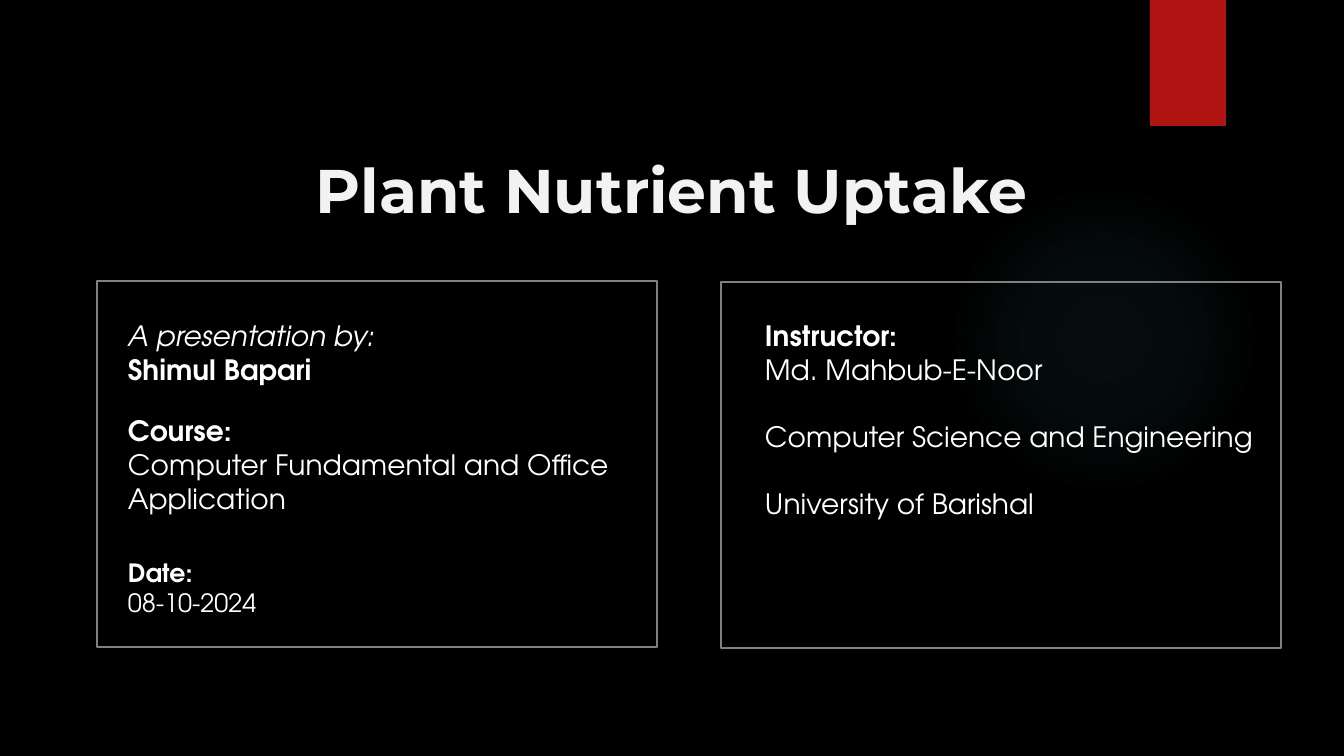
from lxml import etree
from pptx import Presentation, util as u
from pptx.dml.color import RGBColor
from pptx.enum import shapes, text
from pptx.oxml import ns

PX = 12192000 / 1344  # EMU in one px
BODY = "TeX Gyre Adventor"


def px(*sizes):
    return [u.Emu(round(size * PX)) for size in sizes]


def paint(color, code):
    color.rgb = RGBColor.from_string(code)


deck = Presentation()
deck.slide_width, deck.slide_height = px(1344, 756)
slide = deck.slides.add_slide(deck.slide_layouts[6])
slide.background.fill.solid()
paint(slide.background.fill.fore_color, "000000")

# Soft radial glow
glow = slide.shapes.add_shape(shapes.MSO_SHAPE.OVAL, *px(949, 184, 310, 310))
glow.shadow.inherit = False
glow.line.fill.background()
glow.fill.gradient()
grad = glow.fill._xPr.find(ns.qn("a:gradFill"))
for part in list(grad):
    grad.remove(part)
stops = etree.SubElement(grad, ns.qn("a:gsLst"))
for spot, alpha in [(0, 7), (36, 6), (69, 0)]:
    stop = etree.SubElement(stops, ns.qn("a:gs"), pos=str(spot * 1000))
    tint = etree.SubElement(stop, ns.qn("a:srgbClr"), val="50B9C1")
    etree.SubElement(tint, ns.qn("a:alpha"), val=str(alpha * 1000))
ring = etree.SubElement(grad, ns.qn("a:path"), path="circle")
etree.SubElement(ring, ns.qn("a:fillToRect"),
                 {side: "50000" for side in "ltrb"})

# Red tab
tab = slide.shapes.add_shape(shapes.MSO_SHAPE.RECTANGLE, *px(1150, 0, 76, 126))
tab.shadow.inherit = False
tab.fill.solid()
paint(tab.fill.fore_color, "B01513")
tab.line.fill.background()

# Title
title = slide.shapes.add_textbox(*px(168, 121, 1008, 110)).text_frame
title.word_wrap = True
title.vertical_anchor = text.MSO_ANCHOR.BOTTOM
title.text = "Plant Nutrient Uptake"
title.paragraphs[0].alignment = text.PP_ALIGN.CENTER
font = title.paragraphs[0].runs[0].font
font.name, font.size, font.bold = "Montserrat", u.Pt(44), True
paint(font.color, "F2F2F2")

# Details: place, size, lines; each style is one letter per run
notes = [
    ((118, 314, 321, 78), 20, "ib", ["A presentation by:\nShimul Bapari"]),
    ((118, 409, 577, 112), 20, "bn",
     ["Course:\nComputer Fundamental and Office Application"]),
    ((755, 314, 526, 214), 20, "bnnn",
     ["Instructor:\nMd. Mahbub-E-Noor", "Computer Science and Engineering",
      "University of Barishal"]),
    ((118, 552, 410, 72), 18, "bn", ["Date:\n08-10-2024"]),
]
for place, size, styles, lines in notes:
    frame = slide.shapes.add_textbox(*px(*place)).text_frame
    frame.word_wrap = True
    runs = []
    for i, line in enumerate(lines):
        para = frame.add_paragraph() if i else frame.paragraphs[0]
        para.text = line
        para.space_before = u.Pt(24 if i else 0)
        runs += para.runs
    for run, style in zip(runs, styles):
        font = run.font
        font.name, font.size = BODY, u.Pt(size)
        font.bold, font.italic = style == "b", style == "i"
        paint(font.color, "FFFFFF")

# Outlines around both columns
for left, top in [(97, 281), (721, 282)]:
    box = slide.shapes.add_shape(shapes.MSO_SHAPE.RECTANGLE,
                                 *px(left, top, 560, 366))
    box.shadow.inherit = False
    box.fill.background()
    box.line.width = u.Pt(1.5)
    paint(box.line.color, "808080")

deck.save("out.pptx")
